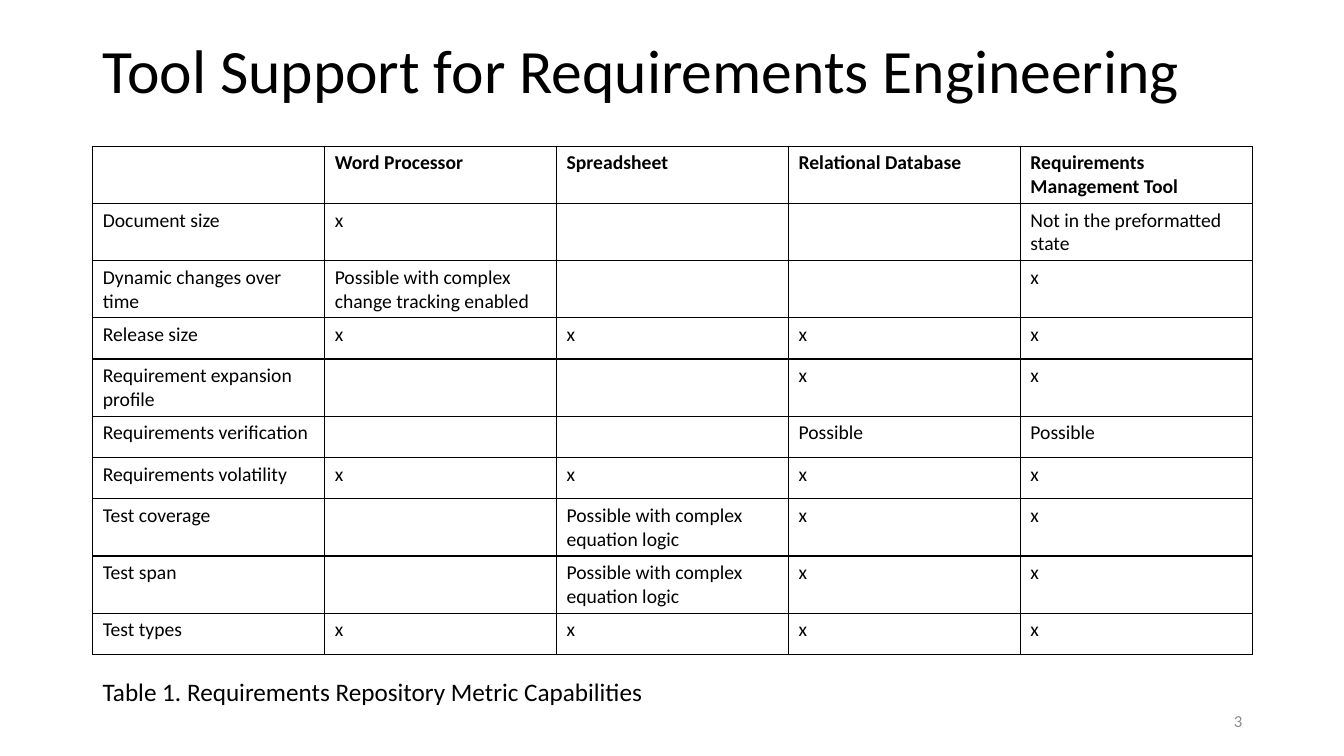
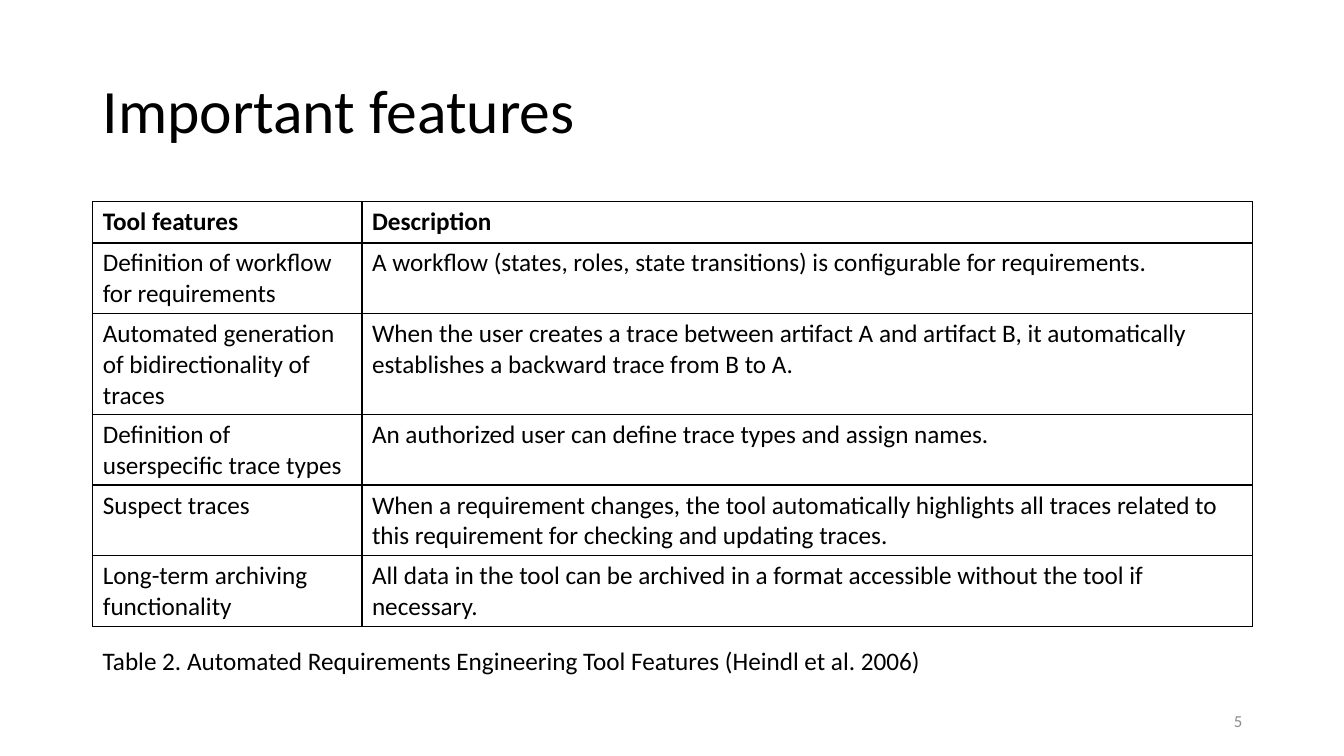
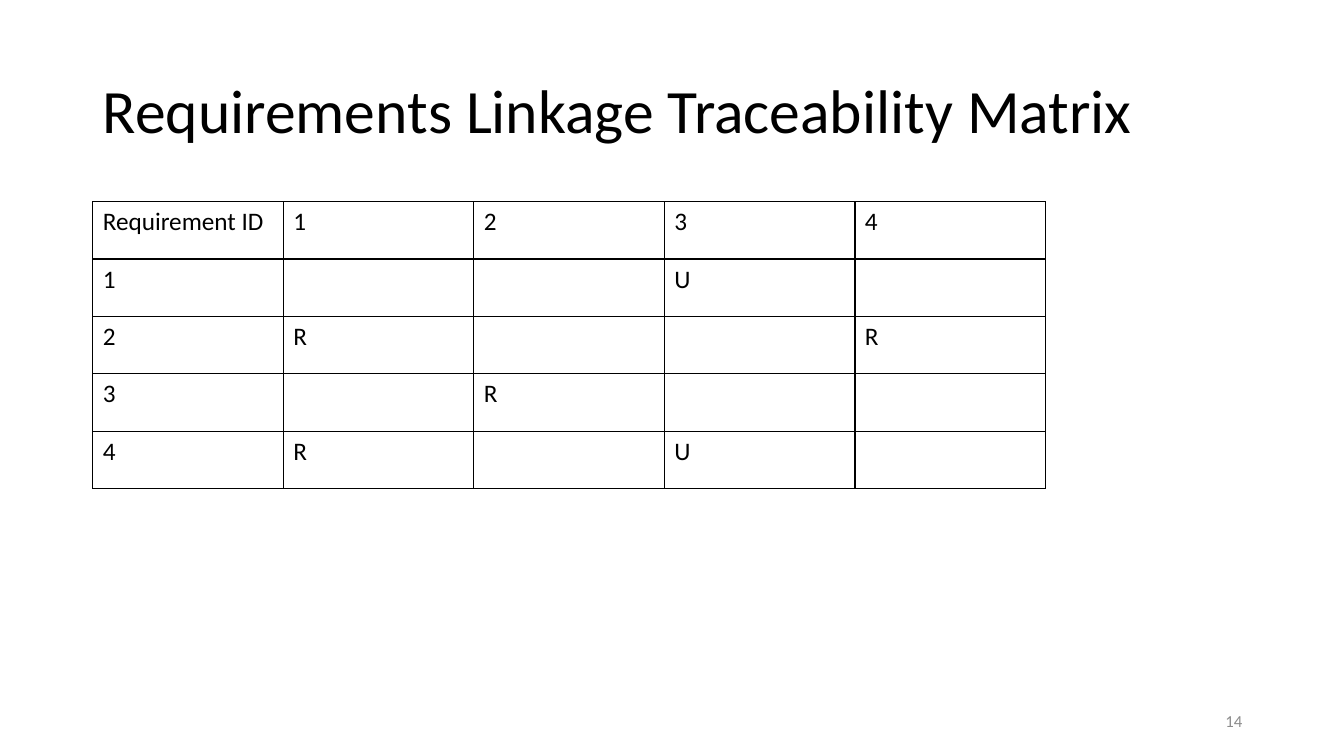
from lxml.etree import SubElement
from pptx import Presentation
from pptx.dml.color import RGBColor
from pptx.enum.text import MSO_ANCHOR, PP_ALIGN
from pptx.oxml.ns import qn
from pptx.util import Inches, Pt

# Shared look
BLACK = RGBColor(0x00, 0x00, 0x00)
GRAY = RGBColor(0x8C, 0x8C, 0x8C)
FONT = "Calibri"
LEFT, CONTENT_WIDTH = 0.92, 11.5
TITLE_HEIGHT = 1.45
LINE_HEIGHT = 0.4
NUMBER_BOX = (9.42, 6.95, 3, LINE_HEIGHT)
BORDER_WIDTH = Pt(1)

TITLE_FORMAT = {"size": Pt(44)}
CAPTION_FORMAT = {"size": Pt(18)}
NUMBER_FORMAT = {"size": Pt(12), "color": GRAY}

# Table contents
CAPABILITIES = [
    ["", "Word Processor", "Spreadsheet", "Relational Database", "Requirements Management Tool"],
    ["Document size", "x", "", "", "Not in the preformatted state"],
    ["Dynamic changes over time", "Possible with complex change tracking enabled", "", "", "x"],
    ["Release size", "x", "x", "x", "x"],
    ["Requirement expansion profile", "", "", "x", "x"],
    ["Requirements verification", "", "", "Possible", "Possible"],
    ["Requirements volatility", "x", "x", "x", "x"],
    ["Test coverage", "", "Possible with complex equation logic", "x", "x"],
    ["Test span", "", "Possible with complex equation logic", "x", "x"],
    ["Test types", "x", "x", "x", "x"],
]
FEATURES = [
    ["Tool features", "Description"],
    ["Definition of workflow for requirements",
     "A workflow (states, roles, state transitions) is configurable for requirements."],
    ["Automated generation of bidirectionality of traces",
     "When the user creates a trace between artifact A and artifact B, "
     "it automatically establishes a backward trace from B to A."],
    ["Definition of userspecific trace types",
     "An authorized user can define trace types and assign names."],
    ["Suspect traces",
     "When a requirement changes, the tool automatically highlights all traces "
     "related to this requirement for checking and updating traces."],
    ["Long-term archiving functionality",
     "All data in the tool can be archived in a format accessible without the tool "
     "if necessary."],
]
LINKAGE = [
    ["Requirement ID", "1", "2", "3", "4"],
    ["1", "", "", "U", ""],
    ["2", "R", "", "", "R"],
    ["3", "", "R", "", ""],
    ["4", "R", "", "U", ""],
]


def write_text(paragraph, text, text_format):
    """Add one run, with the shared font and the given format values."""
    run = paragraph.add_run()
    run.text = text
    values = {"name": FONT, "color": BLACK, **text_format}
    run.font.color.rgb = values.pop("color")
    for name, value in values.items():
        setattr(run.font, name, value)


def add_text(slide, box, text, text_format, anchor=MSO_ANCHOR.TOP, **paragraph_format):
    shape = slide.shapes.add_textbox(*map(Inches, box))
    frame = shape.text_frame
    frame.word_wrap = True
    frame.vertical_anchor = anchor
    paragraph = frame.paragraphs[0]
    for name, value in paragraph_format.items():
        setattr(paragraph, name, value)
    write_text(paragraph, text, text_format)


def set_borders(cell):
    properties = cell._tc.get_or_add_tcPr()
    for side in ("a:lnL", "a:lnR", "a:lnT", "a:lnB"):
        line = SubElement(properties, qn(side), w=str(BORDER_WIDTH))
        fill = SubElement(line, qn("a:solidFill"))
        SubElement(fill, qn("a:srgbClr"), val=str(BLACK))


def add_grid(slide, left, top, rows, column_widths, row_height, size, bold_header=True):
    """Place a plain bordered table; rows grow to fit their text."""
    frame = slide.shapes.add_table(
        len(rows), len(column_widths), Inches(left), Inches(top),
        Inches(sum(column_widths)), Inches(row_height * len(rows)))
    table = frame.table
    table.first_row = table.horz_banding = False
    for column, width in zip(table.columns, column_widths):
        column.width = Inches(width)
    for row_index, (row, texts) in enumerate(zip(table.rows, rows)):
        row.height = Inches(row_height)
        text_format = {"size": Pt(size), "bold": bold_header and row_index == 0}
        for cell, text in zip(row.cells, texts):
            set_borders(cell)
            cell.fill.background()
            if text:
                write_text(cell.text_frame.paragraphs[0], text, text_format)


def add_table_slide(presentation, title, number, grid, top=0.4, table_gap=0.15, caption=None):
    """Build a slide with title, table, page number and an optional caption."""
    slide = presentation.slides.add_slide(presentation.slide_layouts[6])
    add_text(slide, (LEFT, top, CONTENT_WIDTH, TITLE_HEIGHT), title, TITLE_FORMAT,
             MSO_ANCHOR.MIDDLE, line_spacing=0.9)
    add_grid(slide, LEFT, top + TITLE_HEIGHT + table_gap, **grid)
    add_text(slide, NUMBER_BOX, str(number), NUMBER_FORMAT,
             MSO_ANCHOR.MIDDLE, alignment=PP_ALIGN.RIGHT)
    if caption:
        text, caption_top, width = caption
        add_text(slide, (LEFT, caption_top, width, LINE_HEIGHT), text, CAPTION_FORMAT)


def main():
    presentation = Presentation()
    presentation.slide_width = Inches(13.33)
    presentation.slide_height = Inches(7.5)

    # Repository capabilities
    add_table_slide(
        presentation, "Tool Support for Requirements Engineering", 3,
        {"rows": CAPABILITIES, "column_widths": [CONTENT_WIDTH / 5] * 5,
         "row_height": 0.41, "size": 14},
        top=0, table_gap=0,
        caption=("Table 1. Requirements Repository Metric Capabilities", 6.66, 6.57))

    # Tool features
    add_table_slide(
        presentation, "Important features", 5,
        {"rows": FEATURES, "column_widths": [2.67, 8.83], "row_height": 0.41, "size": 18},
        caption=("Table 2. Automated Requirements Engineering Tool Features "
                 "(Heindl et al. 2006)", 6.35, 9.7))

    # Traceability matrix
    add_table_slide(
        presentation, "Requirements Linkage Traceability Matrix", 14,
        {"rows": LINKAGE, "column_widths": [1.89] * 5, "row_height": 0.57,
         "size": 18, "bold_header": False})

    presentation.save("out.pptx")


if __name__ == "__main__":
    main()
